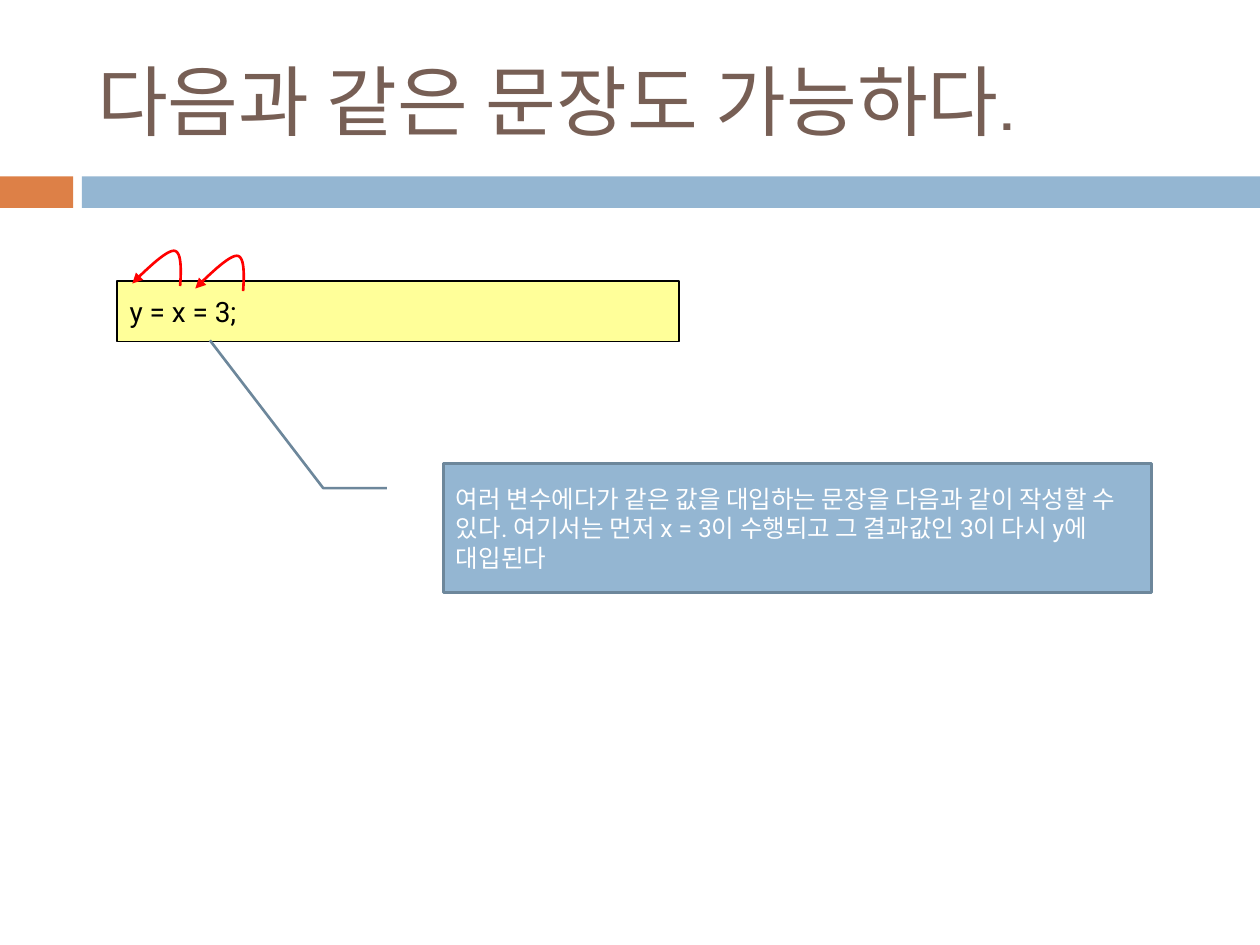
import pptx
import pptx.util
import pptx.dml.color
import pptx.enum.shapes
import pptx.enum.text
import pptx.oxml.ns
import lxml.etree
from dataclasses import dataclass

KIND = pptx.enum.shapes.MSO_SHAPE
COLS, ROWS = 100, 75  # fine grid over the slide
WIDE, HIGH = pptx.util.Inches(10), pptx.util.Inches(7.5)


@dataclass(frozen=True)
class Theme:
    head: str = "Cabin"
    body: str = "Roboto"
    brown: str = "775F55"
    orange: str = "DD8047"
    blue: str = "94B6D2"
    edge: str = "6D879B"
    yellow: str = "FFFF99"
    black: str = "000000"
    white: str = "FFFFFF"
    red: str = "FF0000"
    big: int = 44
    code: int = 16
    note: int = 14


THEME = Theme()


def tint(code):
    return pptx.dml.color.RGBColor.from_string(code)


def place(col, row):
    """Turn a grid position into slide units."""
    return round(WIDE * col / COLS), round(HIGH * row / ROWS)


def stroke(shape, color, width):
    shape.line.color.rgb = tint(color)
    shape.line.width = pptx.util.Pt(width)


def write(shape, text, font, size, color):
    """Set one left-aligned paragraph, centred in height."""
    frame = shape.text_frame
    frame.word_wrap = True
    frame.auto_size = pptx.enum.text.MSO_AUTO_SIZE.NONE
    frame.vertical_anchor = pptx.enum.text.MSO_ANCHOR.MIDDLE
    para = frame.paragraphs[0]
    para.text = text
    para.alignment = pptx.enum.text.PP_ALIGN.LEFT
    para.font.name = font
    para.font.size = pptx.util.Pt(size)
    para.font.color.rgb = tint(color)


def add_box(slide, kind, area, fill, edge=None, width=0):
    col, row, cols, rows = area
    box = slide.shapes.add_shape(kind, *place(col, row), *place(cols, rows))
    box.shadow.inherit = False
    box.fill.solid()
    box.fill.fore_color.rgb = tint(fill)
    if edge:
        stroke(box, edge, width)
    else:
        box.line.fill.background()
    return box


def curve(start, pull, push, end, steps=16):
    """Points along a cubic curve, without its start."""
    for step in range(1, steps + 1):
        t = step / steps
        parts = ((1 - t) ** 3, 3 * t * (1 - t) ** 2, 3 * t * t * (1 - t), t ** 3)
        yield tuple(sum(part * spot[axis] for part, spot
                        in zip(parts, (start, pull, push, end)))
                    for axis in (0, 1))


def add_hop(slide, col, row):
    """Draw a curved arrow that starts at the given place and hops left."""
    start = (col, row)
    top = (col - 0.5, row - 2.8)
    end = (col - 3.8, row - 0.2)
    rise = curve(start, (col + 0.1, row - 1.4), (col + 0.1, row - 2.8), top)
    fall = curve(top, (col - 1.1, row - 2.8), (col - 2.5, row - 1.5), end)
    pen = slide.shapes.build_freeform(*place(*start))
    pen.add_line_segments([place(*spot) for spot in (*rise, *fall)], close=False)
    hop = pen.convert_to_shape()
    hop.shadow.inherit = False
    hop.fill.background()
    stroke(hop, THEME.red, 1.5)
    lxml.etree.SubElement(hop.line._get_or_add_ln(),
                          pptx.oxml.ns.qn("a:tailEnd"), type="triangle")


def add_title(slide, text):
    title = slide.shapes.title
    title.left, title.top = place(6.7, 2.5)
    title.width, title.height = place(89.2, 10.8)
    write(title, text, THEME.head, THEME.big, THEME.brown)


def add_code(slide, text):
    box = add_box(slide, KIND.RECTANGLE, (9.3, 22.3, 44.6, 4.8),
                  THEME.yellow, THEME.black, 0.75)
    write(box, text, THEME.body, THEME.code, THEME.black)


def add_note(slide, text):
    note = add_box(slide, KIND.LINE_CALLOUT_2, (35.2, 36.8, 56.2, 10.2),
                   THEME.blue, THEME.edge, 1.5)
    # Leader line: three points as y, x shares of the box
    for index, share in enumerate((0.19, -0.08, 0.19, -0.17, -0.96, -0.33)):
        note.adjustments[index] = share
    write(note, text, THEME.body, THEME.note, THEME.white)


def main():
    deck = pptx.Presentation()
    deck.slide_width, deck.slide_height = WIDE, HIGH
    slide = deck.slides.add_slide(deck.slide_layouts[5])

    # Title and the band below it
    add_title(slide, "다음과 같은 문장도 가능하다.")
    add_box(slide, KIND.RECTANGLE, (0, 14, 5.8, 2.5), THEME.orange)
    add_box(slide, KIND.RECTANGLE, (6.5, 14, 93.5, 2.5), THEME.blue)

    # Code line with its explanation
    add_code(slide, "y = x = 3;")
    add_note(slide, "여러 변수에다가 같은 값을 대입하는 문장을 다음과 같이 작성할 수 있다. "
                    "여기서는 먼저 x = 3이 수행되고 그 결과값인 3이 다시 y에 대입된다")

    # Assignment order, right to left
    add_hop(slide, 19.3, 23.1)
    add_hop(slide, 14.3, 22.7)
    deck.save("out.pptx")


if __name__ == "__main__":
    main()
